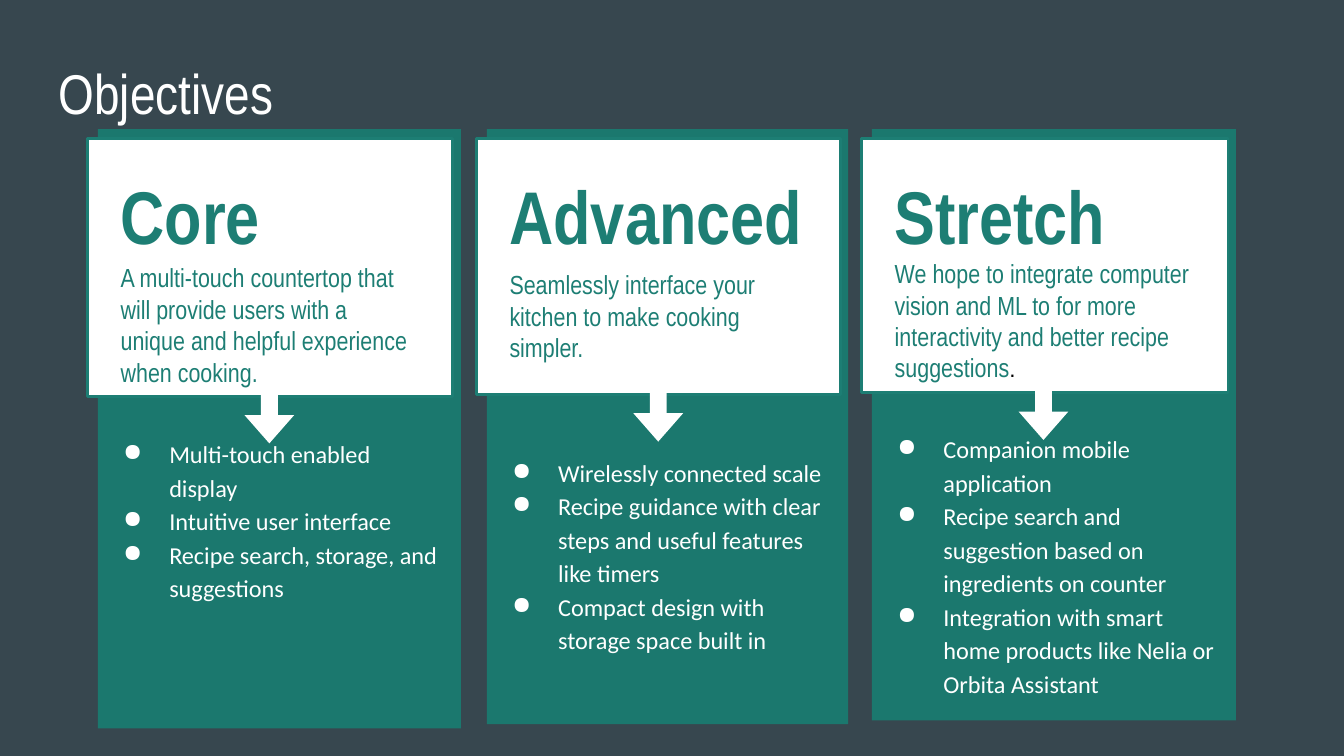
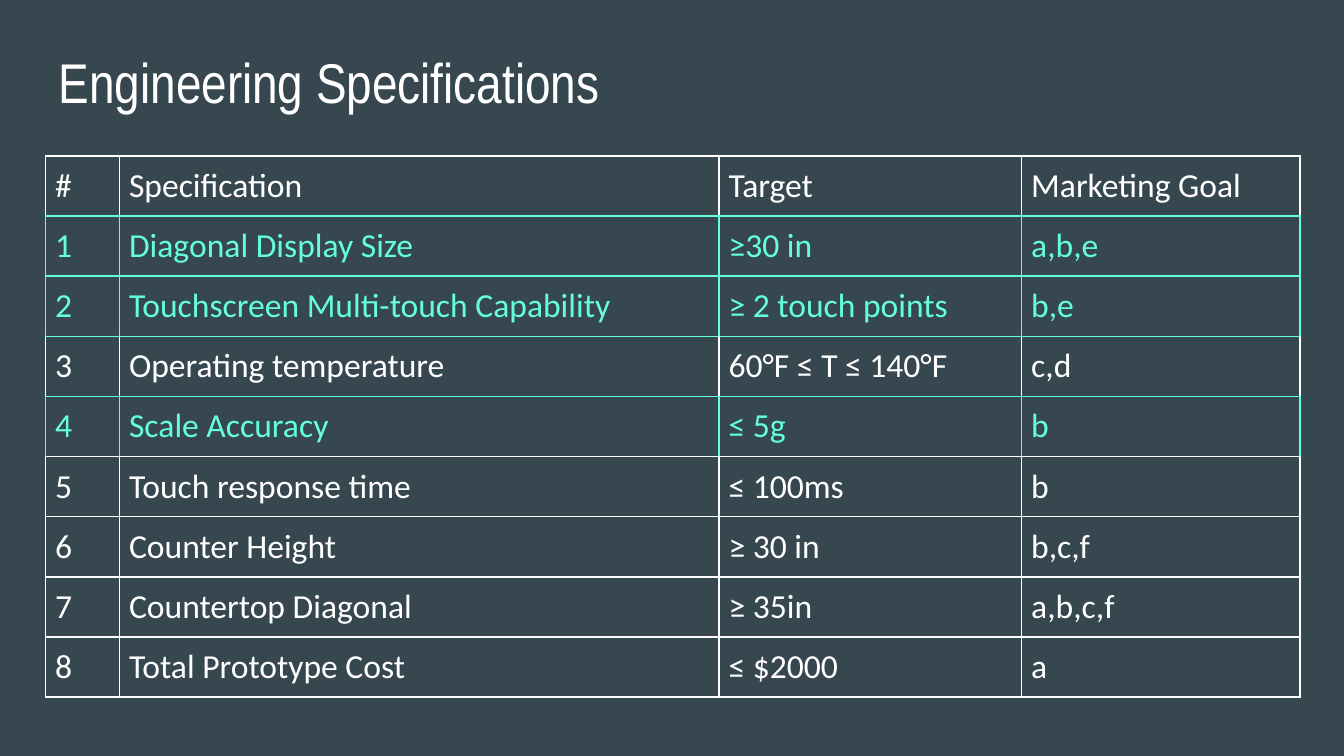
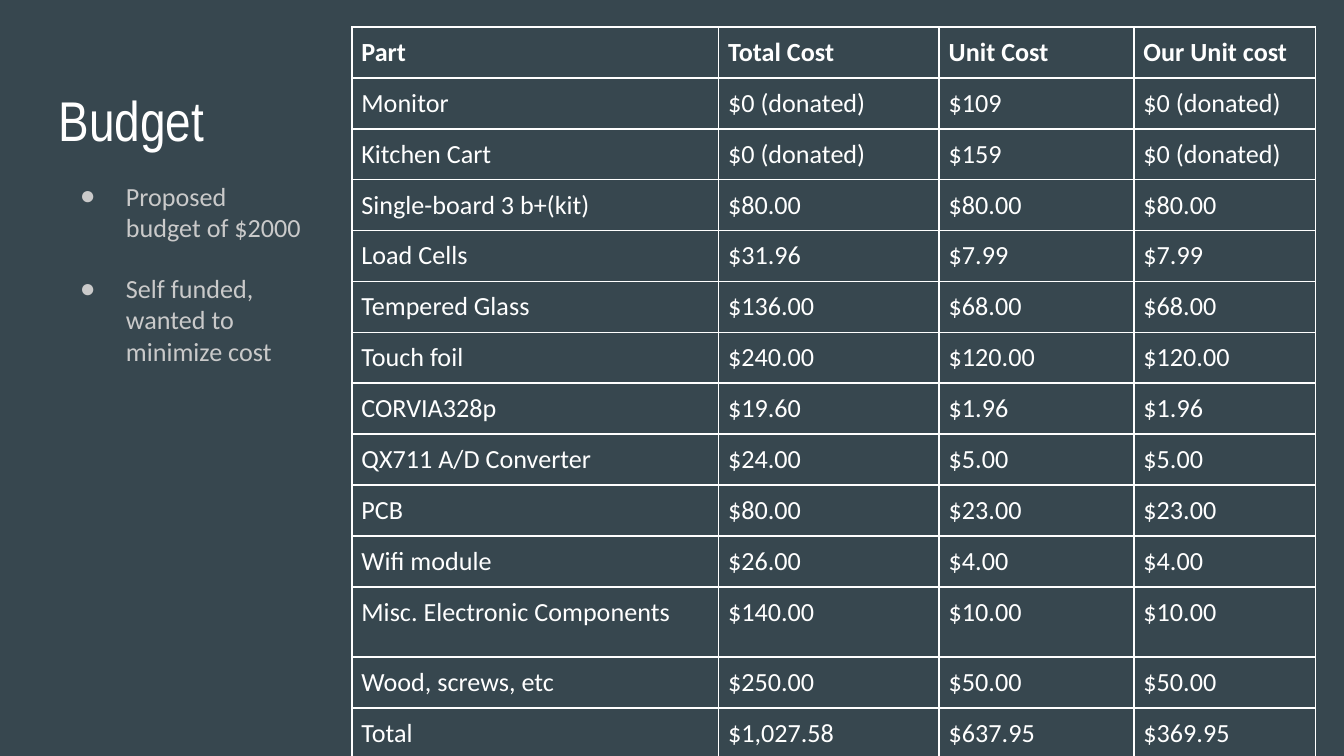
from dataclasses import dataclass
from typing import NamedTuple

from lxml.etree import SubElement
from pptx import Presentation
from pptx.dml.color import RGBColor
from pptx.enum.shapes import MSO_SHAPE as Shape
from pptx.enum.text import MSO_ANCHOR as Anchor, MSO_AUTO_SIZE as AutoSize, PP_ALIGN as Align
from pptx.oxml.ns import qn
from pptx.util import Cm, Pt


@dataclass(frozen=True)
class Theme:
    background: str = "37474F"
    white: str = "FFFFFF"
    panel: str = "1B786E"
    teal: str = "1D7E74"
    accent: str = "64FFDA"
    muted: str = "CACACA"
    black: str = "000000"
    display_font: str = "Arial Narrow"
    text_font: str = "Calibri"
    stop_font: str = "Arial"
    title_size: float = 30
    heading_size: float = 40
    table_size: float = 18
    body_size: float = 14
    bullet_size: float = 13
    stop_size: float = 12
    inset: float = 0.25
    cell_inset: float = 0.18
    border: float = 1
    card_line: float = 1.5


THEME = Theme()


class Box(NamedTuple):
    left: float
    top: float
    width: float
    height: float

    def lengths(self):
        return [Cm(value) for value in self]


class Objective(NamedTuple):
    box: Box
    heading: str
    summary: str
    summary_top: float
    bullets_top: float
    bullets: list


OBJECTIVES = [
    Objective(
        Box(1.85, 2.44, 6.86, 11.33), "Core",
        "A multi-touch countertop that will provide users with a unique and helpful "
        "experience when cooking.", 2.26, 5.54,
        ["Multi-touch enabled display", "Intuitive user interface",
         "Recipe search, storage, and suggestions"]),
    Objective(
        Box(9.2, 2.44, 6.83, 11.25), "Advanced",
        "Seamlessly interface your kitchen to make cooking simpler.", 2.39, 5.89,
        ["Wirelessly connected scale",
         "Recipe guidance with clear steps and useful features like timers",
         "Compact design with storage space built in"]),
    Objective(
        Box(16.48, 2.44, 6.88, 11.18), "Stretch",
        "We hope to integrate computer vision and ML to for more interactivity and "
        "better recipe suggestions", 2.18, 5.44,
        ["Companion mobile application",
         "Recipe search and suggestion based on ingredients on counter",
         "Integration with smart home products like Nelia or Orbita Assistant"]),
]

SPECIFICATIONS = [
    ("#", "Specification", "Target", "Marketing Goal"),
    ("1", "Diagonal Display Size", "≥30 in", "a,b,e"),
    ("2", "Touchscreen Multi-touch Capability", "≥ 2 touch points", "b,e"),
    ("3", "Operating temperature", "60°F ≤ T ≤ 140°F", "c,d"),
    ("4", "Scale Accuracy", "≤ 5g", "b"),
    ("5", "Touch response time", "≤ 100ms", "b"),
    ("6", "Counter Height", "≥ 30 in", "b,c,f"),
    ("7", "Countertop Diagonal", "≥ 35in", "a,b,c,f"),
    ("8", "Total Prototype Cost", "≤ $2000", "a"),
]

COSTS = [
    ("Part", "Total Cost", "Unit Cost", "Our Unit cost"),
    ("Monitor", "$0 (donated)", "$109", "$0 (donated)"),
    ("Kitchen Cart", "$0 (donated)", "$159", "$0 (donated)"),
    ("Single-board 3 b+(kit)", "$80.00", "$80.00", "$80.00"),
    ("Load Cells", "$31.96", "$7.99", "$7.99"),
    ("Tempered Glass", "$136.00", "$68.00", "$68.00"),
    ("Touch foil", "$240.00", "$120.00", "$120.00"),
    ("CORVIA328p", "$19.60", "$1.96", "$1.96"),
    ("QX711 A/D Converter", "$24.00", "$5.00", "$5.00"),
    ("PCB", "$80.00", "$23.00", "$23.00"),
    ("Wifi module", "$26.00", "$4.00", "$4.00"),
    ("Misc. Electronic Components", "$140.00", "$10.00", "$10.00"),
    ("Wood, screws, etc", "$250.00", "$50.00", "$50.00"),
    ("Total", "$1,027.58", "$637.95", "$369.95"),
]


def style_font(font, name, size, color, bold=False):
    font.name = name
    font.size = Pt(size)
    font.color.rgb = RGBColor.from_string(color)
    font.bold = bold


def prepare_frame(frame):
    frame.word_wrap = True
    frame.auto_size = AutoSize.NONE
    frame.vertical_anchor = Anchor.TOP
    frame.margin_left = frame.margin_right = Cm(THEME.inset)
    frame.margin_top = frame.margin_bottom = Cm(THEME.inset)


def place(shape, box):
    shape.left, shape.top, shape.width, shape.height = box.lengths()


def add_text(shapes, box, text, size, bold=False):
    frame = shapes.add_textbox(*box.lengths()).text_frame
    prepare_frame(frame)
    para = frame.paragraphs[0]
    para.text = text
    style_font(para.font, THEME.display_font, size, THEME.teal, bold)
    return para


def fill_bullets(frame, items, size, color, line_spacing=1.0, gap=0):
    prepare_frame(frame)
    for index, item in enumerate(items):
        para = frame.add_paragraph() if index else frame.paragraphs[0]
        para.text = item
        para.line_spacing = line_spacing
        para.space_before = Pt(gap if index else 0)
        properties = para._p.get_or_add_pPr()
        properties.set("marL", str(Cm(1.27)))
        properties.set("indent", str(Cm(-0.87)))
        bullet_color = SubElement(properties, qn("a:buClr"))
        SubElement(bullet_color, qn("a:srgbClr"), val=color)
        SubElement(properties, qn("a:buChar"), char="●")
        style_font(para.font, THEME.text_font, size, color)


def add_filled(shapes, kind, box, fill, line=None):
    shape = shapes.add_shape(kind, *box.lengths())
    shape.shadow.inherit = False
    shape.fill.solid()
    shape.fill.fore_color.rgb = RGBColor.from_string(fill)
    if line:
        shape.line.color.rgb = RGBColor.from_string(line)
        shape.line.width = Pt(THEME.card_line)
    else:
        shape.line.fill.background()
    return shape


def add_page(deck, layout, title, title_top):
    page = deck.slides.add_slide(deck.slide_layouts.get_by_name(layout))
    heading = page.shapes.title
    place(heading, Box(0.86, title_top, 23.67, 1.6))
    prepare_frame(heading.text_frame)
    para = heading.text_frame.paragraphs[0]
    para.text = title
    para.alignment = Align.LEFT
    style_font(para.font, THEME.display_font, THEME.title_size, THEME.white)
    return page


def add_objective(page, objective):
    left, top, width, height = objective.box
    shapes = page.shapes.add_group_shape().shapes
    add_filled(shapes, Shape.RECTANGLE, objective.box, THEME.panel)
    card = Box(left - 0.2, top + 0.18, width + 0.05, height * 0.43)
    add_filled(shapes, Shape.RECTANGLE, card, THEME.white, THEME.teal)

    text_left, text_width = left + 0.18, width - 0.74
    summary = add_text(shapes, Box(text_left, top + objective.summary_top, text_width, 1.85),
                       objective.summary, THEME.body_size)
    if not objective.summary.endswith("."):
        stop = summary.add_run()
        stop.text = "."
        style_font(stop.font, THEME.stop_font, THEME.stop_size, THEME.black)
    add_text(shapes, Box(text_left, top + 0.53, text_width, 1.87),
             objective.heading, THEME.heading_size, True)

    arrow = add_filled(shapes, Shape.RIGHT_ARROW,
                       Box(left + 2.7, card.top + card.height - 0.12, 1.08, 0.94), THEME.white)
    arrow.rotation = 90
    arrow.adjustments[0] = 0.34
    arrow.adjustments[1] = 0.57

    bullets = shapes.add_textbox(
        *Box(left - 0.17, top + objective.bullets_top, width, 4.55).lengths())
    fill_bullets(bullets.text_frame, objective.bullets, THEME.bullet_size, THEME.white, 1.15)


def add_border(cell, side, color):
    line = SubElement(cell._tc.get_or_add_tcPr(), qn(f"a:{side}"), w=str(Pt(THEME.border)))
    fill = SubElement(line, qn("a:solidFill"))
    SubElement(fill, qn("a:srgbClr"), val=color)


def add_grid(page, left, top, widths, heights, rows, size,
             bold_header=False, accent_rows=(), accent_edges=()):
    box = Box(left, top, sum(widths), sum(heights))
    table = page.shapes.add_table(len(rows), len(widths), *box.lengths()).table
    table.first_row = table.horz_banding = False
    for column, width in zip(table.columns, widths):
        column.width = Cm(width)
    for index, (values, height) in enumerate(zip(rows, heights)):
        table.rows[index].height = Cm(height)
        color = THEME.accent if index in accent_rows else THEME.white
        above, below = (THEME.accent if edge in accent_edges else THEME.white
                        for edge in (index, index + 1))
        for cell, value in zip(table.rows[index].cells, values):
            for side, side_color in zip(("lnL", "lnR", "lnT", "lnB"),
                                        (color, color, above, below)):
                add_border(cell, side, side_color)
            cell.fill.background()
            cell.margin_left = cell.margin_right = Cm(THEME.cell_inset)
            cell.margin_top = cell.margin_bottom = Cm(THEME.cell_inset)
            para = cell.text_frame.paragraphs[0]
            para.text = value
            style_font(para.font, THEME.text_font, size, color, bold_header and index == 0)


def add_objectives_page(deck):
    page = add_page(deck, "Title Only", "Objectives", 0.86)
    for objective in OBJECTIVES:
        add_objective(page, objective)


def add_specifications_page(deck):
    page = add_page(deck, "Title Only", "Engineering Specifications", 0.64)
    add_grid(page, 0.86, 2.95, [1.4, 11.33, 5.72, 5.26], [1.13] * len(SPECIFICATIONS),
             SPECIFICATIONS, THEME.table_size,
             accent_rows=(1, 2, 4), accent_edges=range(1, 5))


def add_budget_page(deck):
    page = add_page(deck, "Title and Content", "Budget", 1.37)
    body = page.placeholders[1]
    place(body, Box(0.86, 3.15, 5.13, 9.5))
    fill_bullets(body.text_frame,
                 ["Proposed budget of $2000", "Self funded, wanted to minimize cost"],
                 THEME.body_size, THEME.muted, gap=16)
    heights = [1.33 if row[0].startswith("Misc.") else 0.95 for row in COSTS]
    add_grid(page, 6.65, 0.51, [6.93, 4.17, 3.68, 3.43], heights, COSTS,
             THEME.body_size, bold_header=True)


def main():
    deck = Presentation()
    deck.slide_width, deck.slide_height = Cm(25.4), Cm(14.29)
    backdrop = deck.slide_master.background.fill
    backdrop.solid()
    backdrop.fore_color.rgb = RGBColor.from_string(THEME.background)
    add_objectives_page(deck)
    add_specifications_page(deck)
    add_budget_page(deck)
    deck.save("out.pptx")


if __name__ == "__main__":
    main()
